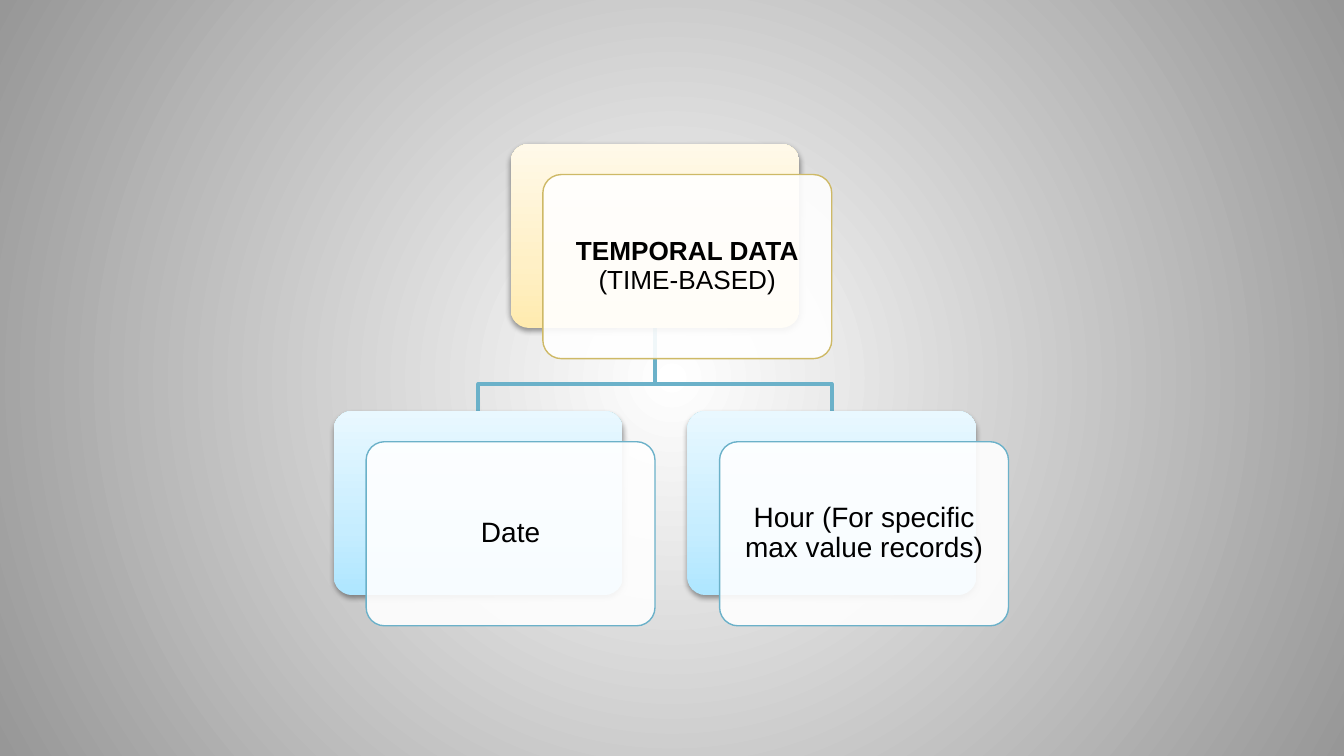
from dataclasses import dataclass

from lxml import etree
from pptx import Presentation
from pptx import util as u
from pptx.dml import color
from pptx.enum import shapes, text
from pptx.oxml import ns

# Lengths in centimetres
CARD_WIDTH, CARD_HEIGHT = 5.46, 3.48
PANEL_DX, PANEL_DY = 0.61, 0.58
TEXT_MARGIN = 0.1
CHILD_LEFT, CHILD_STEP = 6.31, 6.68
ROOT_TOP, CHILD_TOP, BRANCH_Y = 2.72, 7.77, 7.26

BLUE, GOLD = "6BB1C9", "CEB966"
BLUE_STOPS = ((0, "AEE6FF"), (35, "C6EDFF"), (100, "E9F8FF"))
GOLD_STOPS = ((0, "FFEBAF"), (35, "FFF0C6"), (100, "FFF9E9"))
BACKGROUND_STOPS = ((0, "FFFFFF"), (100, "979797"))

FRAME_FORMAT = {
    "word_wrap": True,
    "vertical_anchor": text.MSO_ANCHOR.MIDDLE,
    **{f"margin_{side}": u.Cm(0.15) for side in ("left", "top", "right", "bottom")},
}
PARAGRAPH_FORMAT = {
    "alignment": text.PP_ALIGN.CENTER,
    "line_spacing": 0.9,
    "space_after": u.Pt(5),
}


@dataclass(frozen=True)
class Node:
    left: float
    top: float
    runs: tuple[tuple[str, bool], ...]  # wording, bold
    size: int
    stops: tuple[tuple[int, str], ...] = BLUE_STOPS
    outline: str = BLUE

    @property
    def middle(self) -> float:
        return self.left + CARD_WIDTH / 2


def rgb(value: str) -> color.RGBColor:
    return color.RGBColor.from_string(value)


def apply_format(target, values: dict) -> None:
    for name, value in values.items():
        setattr(target, name, value)


def add_xml(parent, tag: str, **attributes):
    element = etree.SubElement(parent, ns.qn(tag))
    for name, value in attributes.items():
        element.set(name, str(value))
    return element


def set_gradient(fill, owner, stops, radial: bool = False) -> None:
    """Fill with the stops, from the bottom up or from the centre out."""
    fill.gradient()
    gradient = owner.find(".//" + ns.qn("a:gradFill"))
    for child in list(gradient):
        gradient.remove(child)
    stop_list = add_xml(gradient, "a:gsLst")
    for position, value in stops:
        stop = add_xml(stop_list, "a:gs", pos=position * 1000)
        add_xml(stop, "a:srgbClr", val=value)
    if radial:
        direction = add_xml(gradient, "a:path", path="circle")
        add_xml(direction, "a:fillToRect", l=50000, t=50000, r=50000, b=50000)
    else:
        add_xml(gradient, "a:lin", ang=270 * 60000, scaled=1)


def set_outline(shape, value: str, width: float) -> None:
    shape.line.color.rgb = rgb(value)
    shape.line.width = u.Pt(width)


def add_branch(slide, parent: Node, child: Node) -> None:
    points = [
        (u.Cm(x), u.Cm(y))
        for x, y in (
            (parent.middle, parent.top + CARD_HEIGHT),
            (parent.middle, BRANCH_Y),
            (child.middle, BRANCH_Y),
            (child.middle, child.top),
        )
    ]
    builder = slide.shapes.build_freeform(*points[0])
    builder.add_line_segments(points[1:], close=False)
    branch = builder.convert_to_shape()
    branch.shadow.inherit = False
    branch.fill.background()
    set_outline(branch, BLUE, 2)


def add_rounded(slide, left: float, top: float):
    shape = slide.shapes.add_shape(
        shapes.MSO_SHAPE.ROUNDED_RECTANGLE,
        u.Cm(left), u.Cm(top), u.Cm(CARD_WIDTH), u.Cm(CARD_HEIGHT),
    )
    shape.adjustments[0] = 0.1
    shape.shadow.inherit = False
    return shape


def add_shadow(shape) -> None:
    effects = shape._element.spPr.find(ns.qn("a:effectLst"))
    shadow = add_xml(
        effects, "a:outerShdw", blurRad=u.Pt(3.1), dist=u.Pt(1.6),
        dir=90 * 60000, rotWithShape=0,
    )
    add_xml(add_xml(shadow, "a:srgbClr", val="000000"), "a:alpha", val=38000)


def add_node(slide, node: Node) -> None:
    """Draw the coloured card, the translucent panel over it and the label."""
    card = add_rounded(slide, node.left, node.top)
    set_gradient(card.fill, card._element, node.stops)
    card.line.fill.background()
    add_shadow(card)

    left, top = node.left + PANEL_DX, node.top + PANEL_DY
    panel = add_rounded(slide, left, top)
    panel.fill.solid()
    panel.fill.fore_color.rgb = rgb("FFFFFF")
    white = panel._element.spPr.find(ns.qn("a:solidFill"))[0]
    add_xml(white, "a:alpha", val=90000)
    set_outline(panel, node.outline, 0.75)

    label = slide.shapes.add_textbox(
        u.Cm(left + TEXT_MARGIN), u.Cm(top + TEXT_MARGIN),
        u.Cm(CARD_WIDTH - 2 * TEXT_MARGIN), u.Cm(CARD_HEIGHT - 2 * TEXT_MARGIN),
    )
    apply_format(label.text_frame, FRAME_FORMAT)
    paragraph = label.text_frame.paragraphs[0]
    apply_format(paragraph, PARAGRAPH_FORMAT)
    for wording, bold in node.runs:
        run = paragraph.add_run()
        run.text = wording
        apply_format(run.font, {"name": "Arial", "size": u.Pt(node.size), "bold": bold})
        run.font.color.rgb = rgb("000000")


def main() -> None:
    presentation = Presentation()
    presentation.slide_width, presentation.slide_height = u.Cm(25.4), u.Cm(14.29)
    slide = presentation.slides.add_slide(presentation.slide_layouts[6])
    set_gradient(slide.background.fill, slide._element, BACKGROUND_STOPS, radial=True)

    root = Node(
        CHILD_LEFT + CHILD_STEP / 2, ROOT_TOP,
        (("TEMPORAL DATA", True), (" (TIME-BASED)", False)),
        14, GOLD_STOPS, GOLD,
    )
    labels = ("Date", "Hour (For specific max value records)")
    children = [
        Node(CHILD_LEFT + index * CHILD_STEP, CHILD_TOP, ((label, False),), 15)
        for index, label in enumerate(labels)
    ]
    for child in reversed(children):
        add_branch(slide, root, child)
    for node in (root, *children):
        add_node(slide, node)
    presentation.save("out.pptx")


if __name__ == "__main__":
    main()
